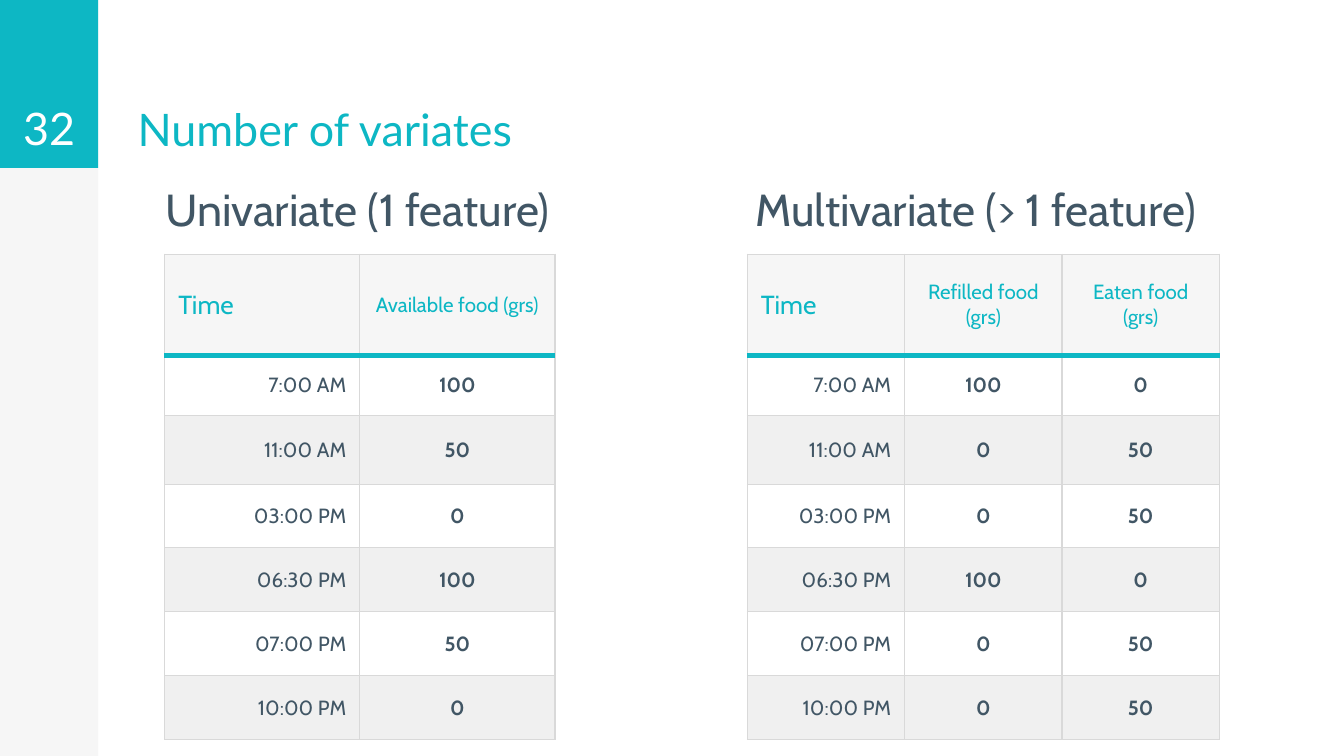
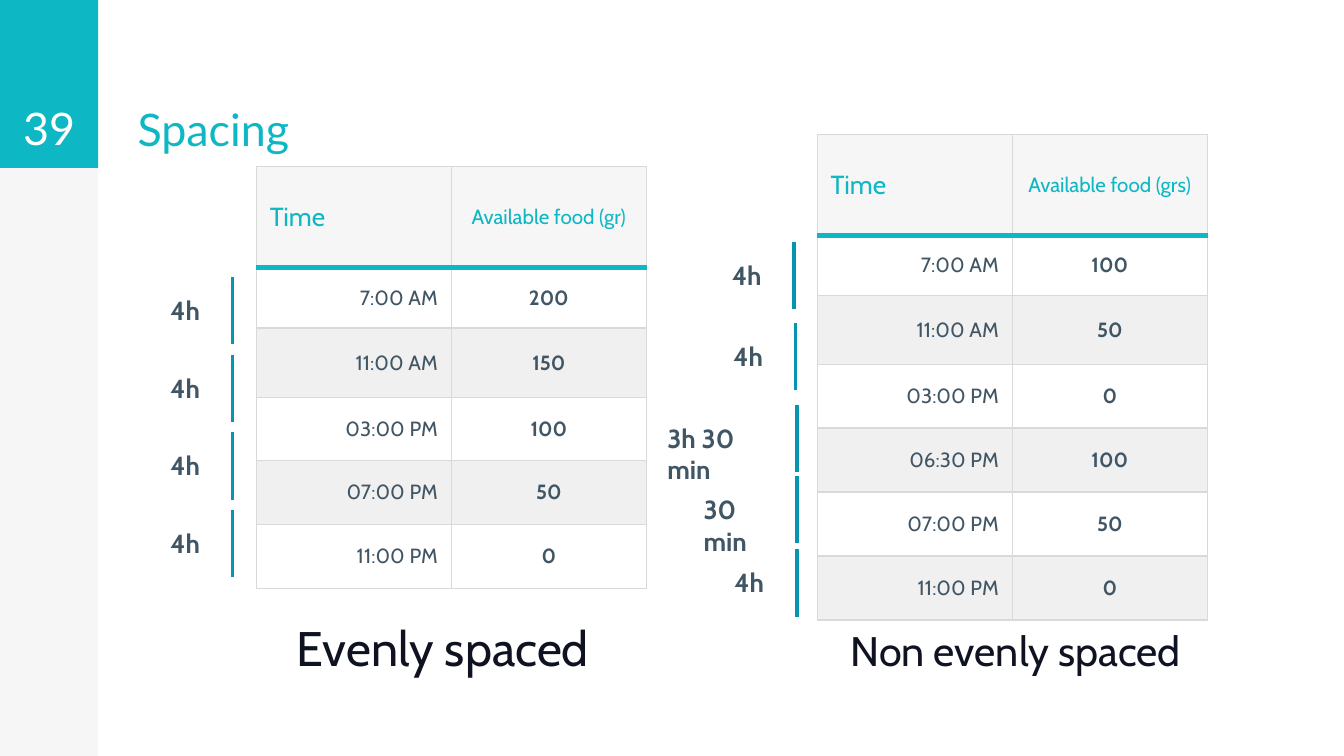
from pptx import Presentation
from pptx.dml.color import RGBColor
from pptx.enum.shapes import MSO_CONNECTOR, MSO_SHAPE
from pptx.enum.text import MSO_ANCHOR, MSO_AUTO_SIZE, PP_ALIGN
from pptx.oxml.ns import qn
from pptx.util import Pt
from lxml.etree import SubElement

TEAL = RGBColor(0x0D, 0xB7, 0xC4)
DEEP_TEAL = RGBColor(0x06, 0x94, 0xB0)
SLATE = RGBColor(0x41, 0x56, 0x65)
INK = RGBColor(0x0E, 0x12, 0x21)
WHITE = RGBColor(0xFF, 0xFF, 0xFF)
PALE = RGBColor(0xF6, 0xF6, 0xF6)
STRIPE = RGBColor(0xF0, 0xF0, 0xF0)
RULE = RGBColor(0xD9, 0xD9, 0xD9)

PAGE_WIDTH, PAGE_HEIGHT = 720, 405
SIDEBAR_WIDTH, BAND_HEIGHT = 52.6, 90
ROW_HEIGHTS = [54, 32.5, 37, 33.8, 34.3, 34.3, 34.3]
MARKER_HEIGHT = 36

TITLE_FONT = {"name": "Lato", "size": 24, "color": TEAL}
NUMBER_FONT = {"name": "Lato", "size": 24, "color": WHITE}
HEADING_FONT = {"name": "Cabin", "size": 24, "color": SLATE}
TIME_FONT = {"name": "Cabin", "size": 14, "color": TEAL}
COLUMN_FONT = {"name": "Cabin", "size": 11, "color": TEAL}
CELL_FONT = {"name": "Cabin", "size": 11, "color": SLATE, "bold": False}
VALUE_FONT = CELL_FONT | {"bold": True}
MARKER_FONT = {"name": "Cabin", "size": 14, "color": SLATE, "bold": True}

WIDE_MARGINS = (7.2, 7.2, 7.2, 7.2)
USUAL_MARGINS = (7.2, 3.6, 7.2, 3.6)

FOOD_TIMES = ["7:00 AM", "11:00 AM", "03:00 PM", "06:30 PM", "07:00 PM", "10:00 PM"]
UNIVARIATE = [["Time", "Available food (grs)"],
              *zip(FOOD_TIMES, ["100", "50", "0", "100", "50", "0"])]
MULTIVARIATE = [["Time", "Refilled food (grs)", "Eaten food (grs)"],
                *zip(FOOD_TIMES, ["100", "0", "0", "100", "0", "0"],
                     ["0", "50", "50", "0", "50", "50"])]
EVEN = [["Time", "Available food (gr)"],
        ["7:00 AM", "200"], ["11:00 AM", "150"], ["03:00 PM", "100"],
        ["07:00 PM", "50"], ["11:00 PM", "0"]]
UNEVEN = [*UNIVARIATE[:-1], ["11:00 PM", "0"]]
UNEVEN_MARKERS = [("4h", 425.5, 129.6, 39.6), ("4h", 426.2, 173, 39.6),
                  ("3h 30 min", 426.8, 216.8, 75.6), ("30 min", 426.8, 255.1, 56.2),
                  ("4h", 426.8, 294.3, 39.6)]


def write(frame, text, font, align=PP_ALIGN.LEFT, spacing=None):
    """Put one formatted paragraph in a text frame."""
    para = frame.paragraphs[0]
    para.alignment = align
    if spacing:
        para.line_spacing = spacing
    span = para.add_run()
    span.text = text
    for key, value in font.items():
        if key == "color":
            span.font.color.rgb = value
        else:
            setattr(span.font, key, Pt(value) if key == "size" else value)


def set_frame(frame, margins, anchor, auto_size=MSO_AUTO_SIZE.NONE):
    """Set wrapping, anchor and margins (left, top, right, bottom)."""
    values = {"word_wrap": True, "auto_size": auto_size, "vertical_anchor": anchor}
    for side, margin in zip(("left", "top", "right", "bottom"), margins):
        values["margin_" + side] = Pt(margin)
    for key, value in values.items():
        setattr(frame, key, value)


def add_text(shapes, box, text, font, margins=USUAL_MARGINS, anchor=MSO_ANCHOR.TOP,
             align=PP_ALIGN.LEFT, spacing=None, auto_size=MSO_AUTO_SIZE.NONE):
    """Add a text box at box (left, top, width, height)."""
    frame = shapes.add_textbox(*map(Pt, box)).text_frame
    set_frame(frame, margins, anchor, auto_size)
    write(frame, text, font, align, spacing)


def add_panel(page, box, color):
    """Add a plain filled rectangle."""
    panel = page.shapes.add_shape(MSO_SHAPE.RECTANGLE, *map(Pt, box))
    panel.shadow.inherit = False
    panel.fill.solid()
    panel.fill.fore_color.rgb = color
    panel.line.fill.background()


def add_page(deck, title, number):
    """Add a page with the sidebar, its number and the title."""
    page = deck.slides.add_slide(deck.slide_layouts[5])
    band = (0, 0, SIDEBAR_WIDTH, BAND_HEIGHT)
    add_panel(page, (0, 0, SIDEBAR_WIDTH, PAGE_HEIGHT), PALE)
    add_panel(page, band, TEAL)
    holder = page.shapes.title
    places = {"left": 66.5, "top": 0.5, "width": 280, "height": BAND_HEIGHT}
    for key, value in places.items():
        setattr(holder, key, Pt(value))
    set_frame(holder.text_frame, WIDE_MARGINS, MSO_ANCHOR.BOTTOM)
    write(holder.text_frame, title, TITLE_FONT)
    add_text(page.shapes, band, number, NUMBER_FONT, WIDE_MARGINS,
             MSO_ANCHOR.BOTTOM, PP_ALIGN.CENTER)
    return page


def add_border(cell, side, color, width):
    """Draw one border of a cell."""
    line = SubElement(cell._tc.get_or_add_tcPr(), qn("a:ln" + side), w=str(Pt(width)))
    fill = SubElement(line, qn("a:solidFill"))
    SubElement(fill, qn("a:srgbClr"), val=str(color))


def format_cell(cell, text, row, column):
    """Write and style one cell according to its row and column."""
    if row == 0:
        font, fill = (COLUMN_FONT if column else TIME_FONT), PALE
        align = PP_ALIGN.CENTER if column else PP_ALIGN.LEFT
    else:
        font, fill = (VALUE_FONT if column else CELL_FONT), (WHITE if row % 2 else STRIPE)
        align = PP_ALIGN.CENTER if column else PP_ALIGN.RIGHT
    for side in "LRTB":
        heavy = (row, side) in ((0, "B"), (1, "T"))
        add_border(cell, side, *((TEAL, 3) if heavy else (RULE, 0.75)))
    cell.fill.solid()
    cell.fill.fore_color.rgb = fill
    cell.vertical_anchor = MSO_ANCHOR.MIDDLE
    cell.margin_left = cell.margin_right = Pt(7.2)
    cell.margin_top = cell.margin_bottom = Pt(5)
    write(cell.text_frame, text, font, align)


def add_food_table(page, left, top, column_width, rows):
    """Add a table of feeding times with equal columns."""
    heights, count = ROW_HEIGHTS[:len(rows)], len(rows[0])
    box = (left, top, column_width * count, sum(heights))
    table = page.shapes.add_table(len(rows), count, *map(Pt, box)).table
    for column in table.columns:
        column.width = Pt(column_width)
    for row, (height, texts) in enumerate(zip(heights, rows)):
        table.rows[row].height = Pt(height)
        for column, text in enumerate(texts):
            format_cell(table.cell(row, column), text, row, column)


def add_heading(page, left, width, text):
    """Add the heading above a table."""
    add_text(page.shapes, (left, 90, width, 46.8), text, HEADING_FONT,
             (13, 7.2, 7.2, 7.2))


def add_caption(page, left, text, size, spacing, bottom):
    """Add the caption below a table."""
    font = {"name": "Cabin", "size": size, "color": INK}
    add_text(page.shapes, (left, 342.7, 194.4, 38.2), text, font, (7.2, 0, 7.2, bottom),
             MSO_ANCHOR.MIDDLE, spacing=spacing)


def add_marker(page, text, x, top, width):
    """Add an interval line at x with its label to the left."""
    group = page.shapes.add_group_shape()
    line = group.shapes.add_connector(MSO_CONNECTOR.STRAIGHT, Pt(x), Pt(top),
                                      Pt(x), Pt(top + MARKER_HEIGHT))
    line.line.color.rgb = DEEP_TEAL
    line.line.width = Pt(2)
    SubElement(line._element.spPr, qn("a:effectLst"))
    add_text(group.shapes, (x - 0.8 - width, top + 5.8, width, 24.5), text,
             MARKER_FONT, auto_size=MSO_AUTO_SIZE.SHAPE_TO_FIT_TEXT)


def add_variates_page(deck):
    """Add the page that compares one feature with several."""
    page = add_page(deck, "Number of variates", "32")
    add_heading(page, 75.6, 233.3, "Univariate (1 feature)")
    add_food_table(page, 88.3, 136.2, 104.5, UNIVARIATE)
    add_food_table(page, 400.4, 136.2, 84.3, MULTIVARIATE)
    add_heading(page, 391.7, 270.7, "Multivariate (> 1 feature)")


def add_spacing_page(deck):
    """Add the page that compares even and uneven intervals."""
    page = add_page(deck, "Spacing", "39")
    add_caption(page, 151.9, "Evenly spaced", 26, 0.9, 26)
    add_caption(page, 448.6, "Non evenly spaced", 22.1, 0.8, 22)
    add_food_table(page, 137.3, 89.3, 104.5, EVEN)
    add_food_table(page, 437.8, 72, 104.5, UNEVEN)
    for index in range(4):
        add_marker(page, "4h", 124.6, 148.5 + 41.6 * index, 39.6)
    for marker in UNEVEN_MARKERS:
        add_marker(page, *marker)


def main():
    """Build and save the deck."""
    deck = Presentation()
    deck.slide_width, deck.slide_height = Pt(PAGE_WIDTH), Pt(PAGE_HEIGHT)
    add_variates_page(deck)
    add_spacing_page(deck)
    deck.save("out.pptx")


if __name__ == "__main__":
    main()
